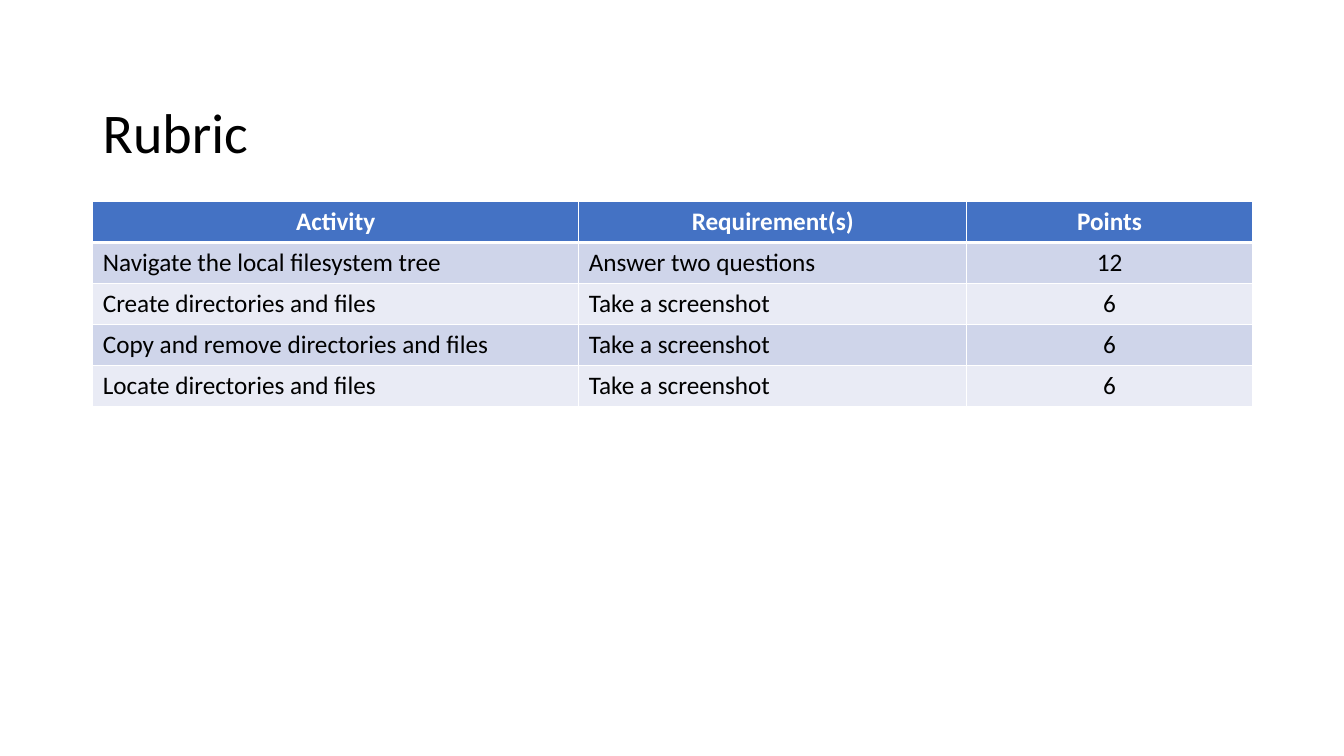
from lxml.etree import SubElement
from pptx import Presentation
from pptx.dml.color import RGBColor
from pptx.enum.text import MSO_ANCHOR, PP_ALIGN
from pptx.oxml.ns import qn
from pptx.util import Inches, Pt

COLORS = {
    "header": "4472C4",
    "odd": "CFD5EA",
    "even": "E9EBF5",
    "border": "FFFFFF",
    "light": "FFFFFF",
    "dark": "000000",
}
FONT = "Calibri"
LEFT, WIDTH = 0.92, 11.5
COLUMNS = (4.82, 3.85, 2.83)
TABLE_HEIGHT = 2.03
RUBRIC = (
    ("Activity", "Requirement(s)", "Points"),
    ("Navigate the local filesystem tree", "Answer two questions", "12"),
    ("Create directories and files", "Take a screenshot", "6"),
    ("Copy and remove directories and files", "Take a screenshot", "6"),
    ("Locate directories and files", "Take a screenshot", "6"),
)


def color(name):
    return RGBColor.from_string(COLORS[name])


def add_run(p, text, size, color_name, bold=False):
    r = p.add_run()
    r.text = text
    r.font.name = FONT
    r.font.size = Pt(size)
    r.font.bold = bold
    r.font.color.rgb = color(color_name)


def add_title(slide, text):
    sp = slide.shapes.add_textbox(Inches(LEFT), Inches(0.83), Inches(WIDTH), Inches(1.02))
    tf = sp.text_frame
    tf.word_wrap = True
    tf.vertical_anchor = MSO_ANCHOR.MIDDLE
    p = tf.paragraphs[0]
    p.line_spacing = 0.9
    add_run(p, text, 40, "dark")


def set_borders(cell, **widths):
    tc_pr = cell._tc.get_or_add_tcPr()
    for side in "LRTB":
        ln = SubElement(tc_pr, qn(f"a:ln{side}"), w=str(Pt(widths.get(side, 1))))
        fill = SubElement(ln, qn("a:solidFill"))
        SubElement(fill, qn("a:srgbClr"), val=COLORS["border"])


def fill_cell(cell, text, row, col):
    header = row == 0
    set_borders(cell, T=3 if row == 1 else 1, B=3 if header else 1)
    cell.fill.solid()
    cell.fill.fore_color.rgb = color("header" if header else "odd" if row % 2 else "even")
    p = cell.text_frame.paragraphs[0]
    centered = header or col == len(COLUMNS) - 1
    p.alignment = PP_ALIGN.CENTER if centered else PP_ALIGN.LEFT
    add_run(p, text, 18, "light" if header else "dark", header)


def add_rubric(slide, rows):
    frame = slide.shapes.add_table(
        len(rows), len(COLUMNS), Inches(LEFT), Inches(2),
        Inches(WIDTH), Inches(TABLE_HEIGHT),
    )
    table = frame.table
    for column, width in zip(table.columns, COLUMNS):
        column.width = Inches(width)
    for i, row in enumerate(rows):
        for j, text in enumerate(row):
            fill_cell(table.cell(i, j), text, i, j)


def main():
    prs = Presentation()
    prs.slide_width, prs.slide_height = Inches(13.33), Inches(7.5)
    slide = prs.slides.add_slide(prs.slide_layouts[6])
    add_title(slide, "Rubric")
    add_rubric(slide, RUBRIC)
    prs.save("out.pptx")


if __name__ == "__main__":
    main()
